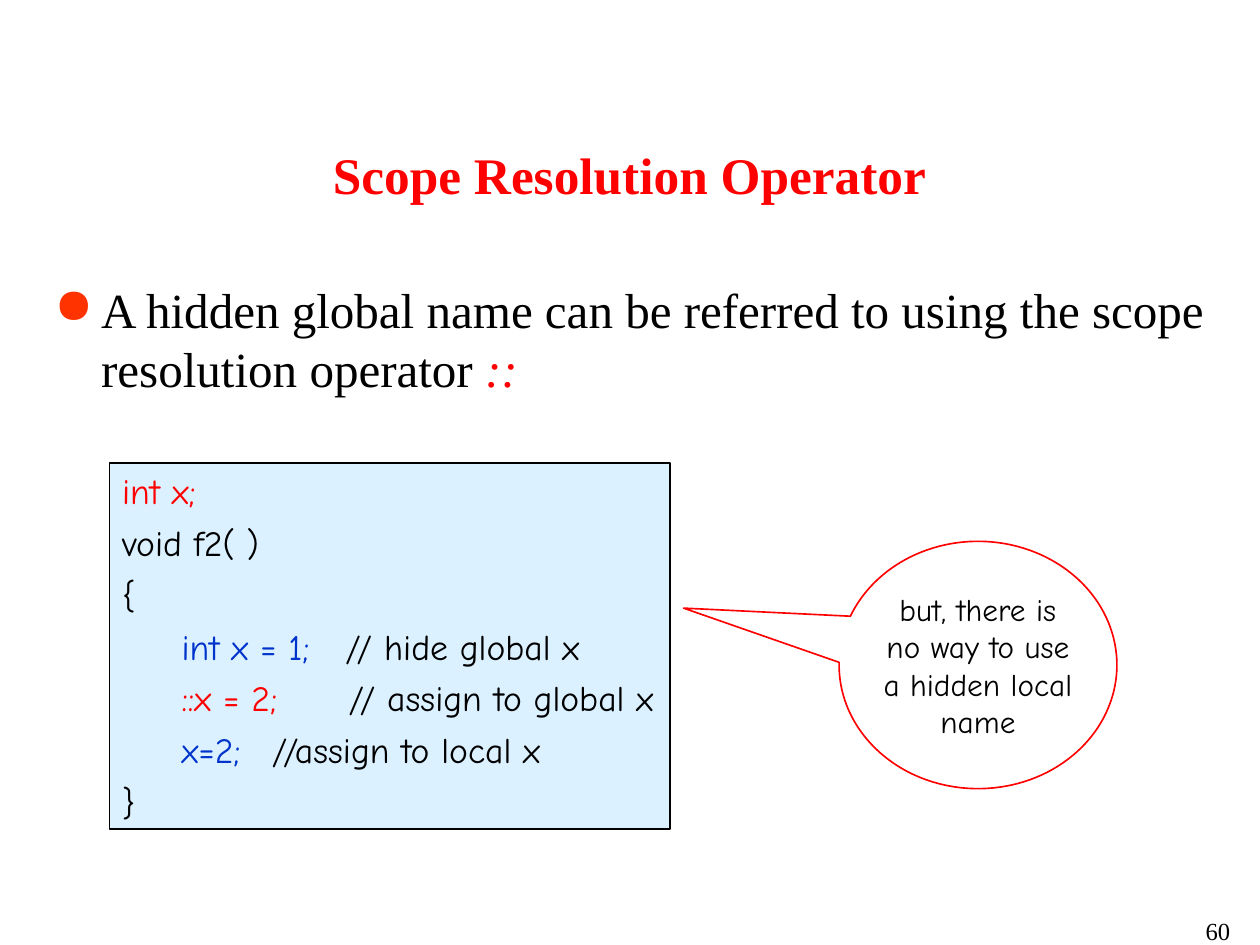
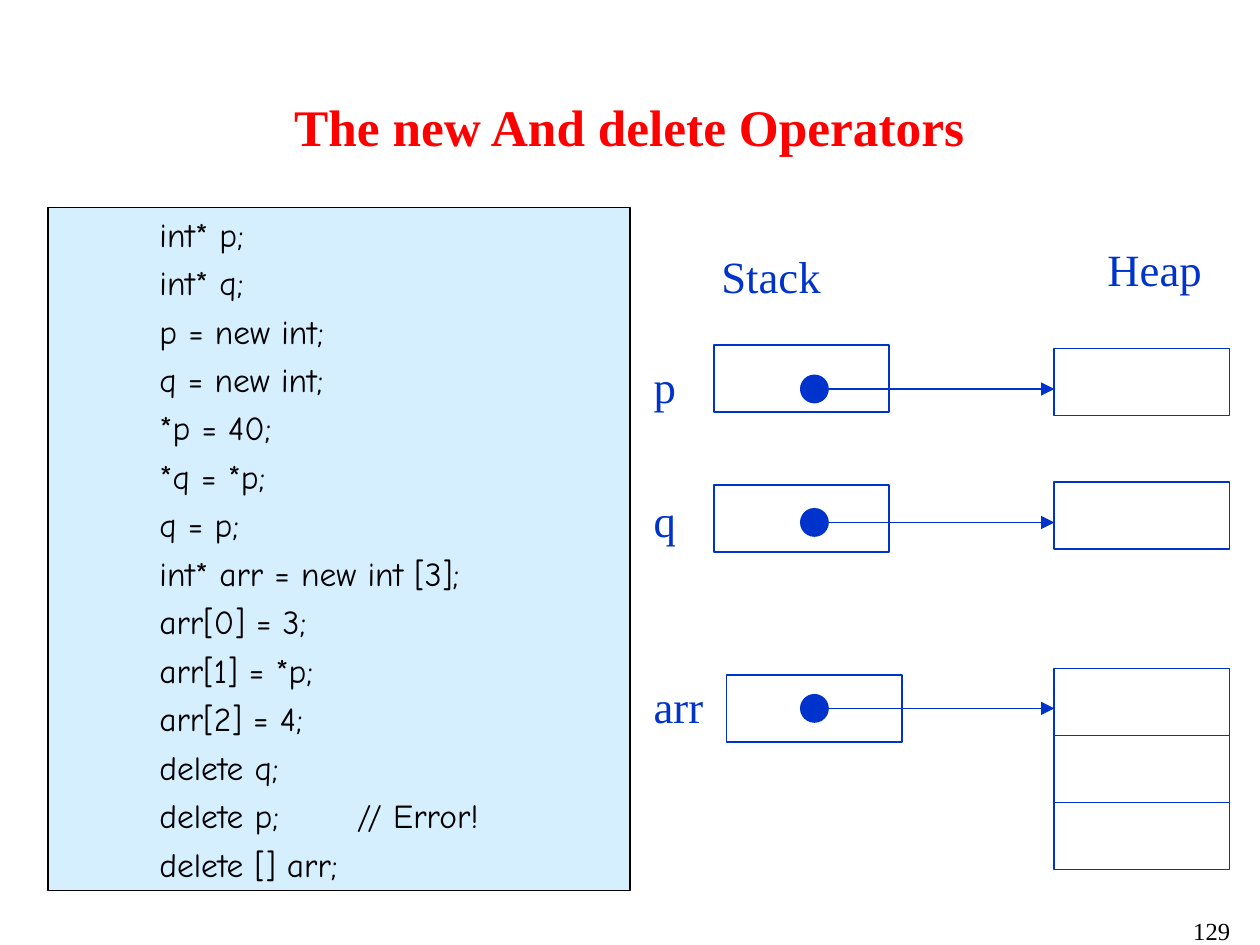
from dataclasses import dataclass

from lxml.etree import SubElement
from pptx import Presentation
from pptx.dml.color import RGBColor
from pptx.enum.shapes import MSO_CONNECTOR, MSO_SHAPE
from pptx.enum.text import MSO_ANCHOR, MSO_AUTO_SIZE, PP_ALIGN
from pptx.oxml.ns import qn
from pptx.util import Cm, Pt


@dataclass(frozen=True)
class Theme:
    black: str = "000000"
    red: str = "FF0000"
    blue: str = "0033CC"
    bullet: str = "FF3300"
    code_fill: str = "CCECFF"
    serif: str = "Times New Roman"
    hand: str = "Comic Neue"
    title_size: float = 23
    body_size: float = 22
    label_size: float = 20
    callout_size: float = 14
    number_size: float = 11
    line_width: float = 0.75


T = Theme()


# Text
def add_bullet(p, indent):
    pPr = p._p.get_or_add_pPr()
    pPr.set("marL", str(Cm(indent)))
    pPr.set("indent", str(-Cm(indent)))
    color = SubElement(pPr, qn("a:buClr"))
    SubElement(color, qn("a:srgbClr"), val=T.bullet)
    SubElement(pPr, qn("a:buChar"), char="●")


def add_tabs(p, step, count=3):
    tabs = SubElement(p._p.get_or_add_pPr(), qn("a:tabLst"))
    for i in range(1, count + 1):
        SubElement(tabs, qn("a:tab"), pos=str(Cm(step * i)), algn="l")


def write(tf, paragraphs, size, font=T.serif, color=T.black, bold=False,
          align=PP_ALIGN.LEFT, anchor=MSO_ANCHOR.TOP, wrap=True,
          gap=0, tab=None, bullet=None):
    """Each paragraph is a string or a list of (text, colour, italic) runs."""
    tf.auto_size = MSO_AUTO_SIZE.NONE
    tf.word_wrap = wrap
    tf.vertical_anchor = anchor
    tf.margin_left = tf.margin_right = Cm(0.2)
    tf.margin_top = tf.margin_bottom = Cm(0.1)
    for i, runs in enumerate(paragraphs):
        p = tf.add_paragraph() if i else tf.paragraphs[0]
        if bullet:
            add_bullet(p, bullet)
        if tab:
            add_tabs(p, tab)
        p.alignment = align
        p.space_before = Pt(gap if i else 0)
        if isinstance(runs, str):
            runs = [(runs, color, False)]
        for text, run_color, italic in runs:
            r = p.add_run()
            r.text = text
            r.font.name = font
            r.font.size = Pt(size)
            r.font.bold = bold
            r.font.italic = italic
            r.font.color.rgb = RGBColor.from_string(run_color)


def add_text(s, left, top, width, height, paragraphs, **fmt):
    box = s.shapes.add_textbox(Cm(left), Cm(top), Cm(width), Cm(height))
    write(box.text_frame, paragraphs, **fmt)


# Shapes
def add_shape(s, kind, left, top, width, height, line, fill=None, opacity=100):
    sp = s.shapes.add_shape(kind, Cm(left), Cm(top), Cm(width), Cm(height))
    sp.shadow.inherit = False
    sp.line.color.rgb = RGBColor.from_string(line)
    sp.line.width = Pt(T.line_width)
    if fill:
        sp.fill.solid()
        sp.fill.fore_color.rgb = RGBColor.from_string(fill)
        if opacity < 100:
            color = sp._element.spPr.find(qn("a:solidFill"))[0]
            SubElement(color, qn("a:alpha"), val=str(opacity * 1000))
    else:
        sp.fill.background()
    return sp


def add_code(s, left, top, width, height, lines, opacity, **fmt):
    sp = add_shape(s, MSO_SHAPE.RECTANGLE, left, top, width, height,
                   T.black, T.code_fill, opacity)
    write(sp.text_frame, lines, font=T.hand, **fmt)


def add_cell(s, left, top, width=2.77, height=1.06):
    add_shape(s, MSO_SHAPE.RECTANGLE, left, top, width, height, T.blue)


def add_pointer(s, x1, x2, y, dot=0.43):
    line = s.shapes.add_connector(MSO_CONNECTOR.STRAIGHT,
                                  Cm(x1), Cm(y), Cm(x2), Cm(y))
    line.line.color.rgb = RGBColor.from_string(T.blue)
    line.line.width = Pt(T.line_width)
    SubElement(line.line._get_or_add_ln(), qn("a:tailEnd"), type="triangle")
    SubElement(line._element.spPr, qn("a:effectLst"))
    add_shape(s, MSO_SHAPE.OVAL, x1 - dot / 2, y - dot / 2, dot, dot,
              T.blue, T.blue)


# Slides
def add_slide(prs, title, title_top, number):
    s = prs.slides.add_slide(prs.slide_layouts[5])
    sp = s.shapes.title
    sp.left, sp.top = Cm(0.66), Cm(title_top)
    sp.width, sp.height = Cm(18.59), Cm(1.17)
    write(sp.text_frame, [title], size=T.title_size, color=T.red, bold=True,
          align=PP_ALIGN.CENTER, anchor=MSO_ANCHOR.MIDDLE)
    add_text(s, 14.66, 14.38, 4.98, 0.56, [number], size=T.number_size,
             align=PP_ALIGN.RIGHT)
    return s


def scope_slide(prs):
    s = add_slide(prs, "Scope Resolution Operator", 2.16, "60")
    add_text(s, 0.66, 4.32, 18.59, 2.6, [[
        ("A hidden global name can be referred to using the scope "
         "resolution operator ", T.black, False),
        ("::", T.red, True),
    ]], size=T.body_size, bullet=0.74)

    add_code(s, 1.73, 7.32, 8.86, 5.79, [
        [("int x;", T.red, False)],
        "void f2( )",
        "{",
        [("     int x = 1;", T.blue, False),
         ("   // hide global x", T.black, False)],
        [("     ::x = 2;", T.red, False),
         ("      // assign to global x", T.black, False)],
        [("     x=2;\t", T.blue, False),
         ("  //assign to local x", T.black, False)],
        "}",
    ], opacity=70, size=16, gap=4, tab=1.99)

    callout = add_shape(s, MSO_SHAPE.OVAL_CALLOUT, 13.26, 8.56, 4.39, 3.91,
                        T.red)
    callout.adjustments[0] = -1.06
    callout.adjustments[1] = -0.23
    write(callout.text_frame,
          ["but, there is", "no way to use", "a hidden local", "name"],
          size=T.callout_size, font=T.hand, align=PP_ALIGN.CENTER,
          anchor=MSO_ANCHOR.MIDDLE, wrap=False)


def memory_slide(prs):
    s = add_slide(prs, "The new And delete Operators", 1.4, "129")
    code = ["int* p;", "int* q;", "p = new int;", "q = new int;", "*p = 40;",
            "*q = *p;", "q = p;", "int* arr = new int [3];", "arr[0] = 3;",
            "arr[1] = *p;", "arr[2] = 4;", "delete q;",
            "delete p;\t// Error!", "delete [] arr;"]
    add_code(s, 0.76, 3.28, 9.2, 10.8, ["\t" + line for line in code],
             opacity=80, size=15, gap=3.7, tab=1.56)

    # Stack and heap diagram
    label = dict(size=T.label_size, color=T.blue)
    add_text(s, 11.2, 3.84, 2.3, 1.1, ["Stack"], **label)
    add_text(s, 17.3, 3.73, 2.2, 1.1, ["Heap"], **label)
    heap_left, cell_height = 16.66, 1.06
    variables = [  # name, stack left, stack top, arrow y, heap top, heap cells
        ("p", 11.28, 5.46, 6.15, 5.51, 1),
        ("q", 11.28, 7.67, 8.26, 7.62, 1),
        ("arr", 11.48, 10.67, 11.2, 10.57, 3),
    ]
    for name, stack_left, stack_top, y, heap_top, cells in variables:
        add_text(s, 10.13, y - 0.57, 1.36, 1.1, [name], **label)
        add_cell(s, stack_left, stack_top, height=cell_height)
        for i in range(cells):
            add_cell(s, heap_left, heap_top + i * cell_height,
                     height=cell_height)
        add_pointer(s, 12.87, heap_left, y)


def main():
    prs = Presentation()
    prs.slide_width, prs.slide_height = Cm(19.91), Cm(14.94)
    scope_slide(prs)
    memory_slide(prs)
    prs.save("out.pptx")


if __name__ == "__main__":
    main()
